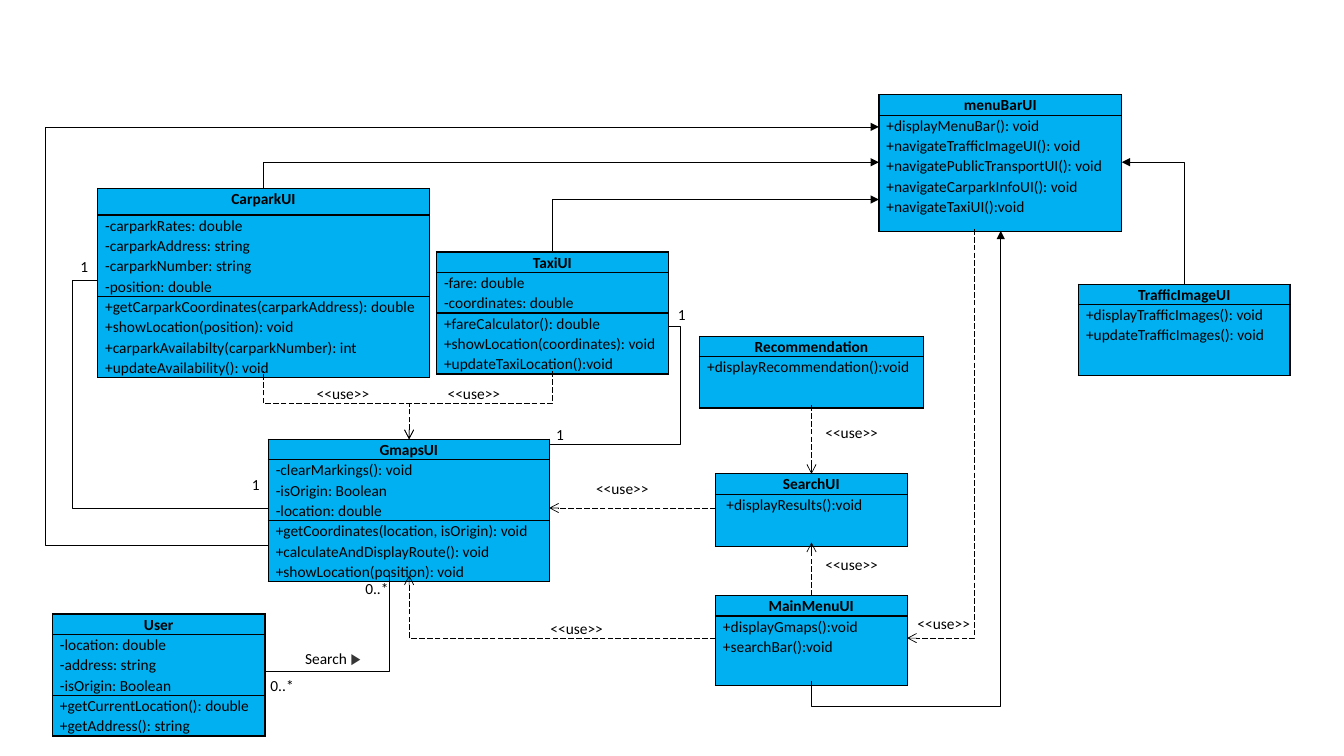
"""Builds a UML class diagram slide of a traffic and car park application."""
import pptx
import pptx.dml.color
import pptx.enum.dml
import pptx.enum.shapes
import pptx.enum.text
import pptx.oxml
import pptx.oxml.ns
import pptx.util

Cm = pptx.util.Cm
qn = pptx.oxml.ns.qn
COLORS = {"box": "00B0F0", "ink": "000000", "marker": "373637"}
LINE_HEIGHT = 0.5
LABEL_HEIGHT = 0.74


def rgb(name):
    return pptx.dml.color.RGBColor.from_string(COLORS[name])


def assign(target, formats):
    for name, value in formats.items():
        setattr(target, name, value)


class ClassDiagram:
    def __init__(self, slide):
        self.shapes = slide.shapes
        self.font = {"name": "Calibri", "size": pptx.util.Pt(11)}

    def add_words(self, paragraph, text, color="ink", **formats):
        run = paragraph.add_run()
        run.text = text
        assign(run.font, {**self.font, **formats})
        run.font.color.rgb = rgb(color)

    def border(self, cell):
        properties = cell._tc.get_or_add_tcPr()
        for index, side in enumerate(("lnL", "lnR", "lnT", "lnB")):
            properties.insert(index, pptx.oxml.parse_xml(
                f'<a:{side} {pptx.oxml.ns.nsdecls("a")} w="12700"><a:solidFill>'
                f'<a:srgbClr val="{COLORS["ink"]}"/></a:solidFill></a:{side}>'))

    def uml_class(self, title, left, top, width, height, *members, header=LINE_HEIGHT):
        compartments = [[title], *members]
        heights = [header] + [LINE_HEIGHT * len(lines) for lines in members[:-1]]
        heights.append(height - sum(heights))
        table = self.shapes.add_table(len(compartments), 1, Cm(left), Cm(top),
                                      Cm(width), Cm(height)).table
        assign(table, {"first_row": False, "horz_banding": False})
        for index, lines in enumerate(compartments):
            table.rows[index].height = Cm(heights[index])
            cell = table.cell(index, 0)
            assign(cell, {"margin_left": Cm(0.19), "margin_right": Cm(0.19),
                          "margin_top": 0, "margin_bottom": 0})
            cell.fill.solid()
            cell.fill.fore_color.rgb = rgb("box")
            self.border(cell)
            for number, line in enumerate(lines):
                frame = cell.text_frame
                paragraph = frame.add_paragraph() if number else frame.paragraphs[0]
                paragraph.line_spacing = 1.07
                if index == 0:
                    paragraph.alignment = pptx.enum.text.PP_ALIGN.CENTER
                self.add_words(paragraph, line, bold=index == 0)

    def label(self, text, left, top, width, marker=""):
        frame = self.shapes.add_textbox(Cm(left), Cm(top), Cm(width),
                                        Cm(LABEL_HEIGHT)).text_frame
        assign(frame, {"word_wrap": True, "margin_left": 0, "margin_right": 0})
        paragraph = frame.paragraphs[0]
        paragraph.alignment = pptx.enum.text.PP_ALIGN.CENTER
        self.add_words(paragraph, text)
        if marker:
            self.add_words(paragraph, marker, color="marker", name="Cabin")

    def style_line(self, link, arrow, arrow_at, dashed):
        link.line.color.rgb = rgb("ink")
        link.line.width = pptx.util.Pt(0.5)
        if dashed:
            link.line.dash_style = pptx.enum.dml.MSO_LINE.LONG_DASH
        properties = link._element.spPr
        if arrow:
            outline = properties.find(qn("a:ln"))
            outline.append(outline.makeelement(qn(f"a:{arrow_at}"), {"type": arrow}))
        properties.append(properties.makeelement(qn("a:effectLst"), {}))

    def straight(self, begin, end, arrow="arrow", dashed=True):
        link = self.shapes.add_connector(pptx.enum.shapes.MSO_CONNECTOR.STRAIGHT,
                                         *map(Cm, begin + end))
        self.style_line(link, arrow, "tailEnd", dashed)

    def elbow(self, begin, end, vertical=False, turn=None, arrow=None,
              arrow_at="tailEnd", dashed=False):
        (x1, y1), (x2, y2) = begin, end
        width, height = abs(x2 - x1), abs(y2 - y1)
        flip_h, flip_v, angle = x2 < x1, y2 < y1, 0
        if vertical:
            width, height = height, width
            flip_h, flip_v, angle = flip_v, not flip_h, 90
        if flip_h and not (vertical and flip_v):
            flip_h, flip_v, angle = False, not flip_v, angle + 180
        left, top = (x1 + x2 - width) / 2, (y1 + y2 - height) / 2
        link = self.shapes.add_connector(
            pptx.enum.shapes.MSO_CONNECTOR.ELBOW,
            Cm(left), Cm(top), Cm(left + width), Cm(top + height))
        properties = link._element.spPr
        frame = properties.find(qn("a:xfrm"))
        for name, value in {"rot": angle * 60000, "flipH": int(flip_h),
                            "flipV": int(flip_v)}.items():
            if value:
                frame.set(name, str(value))
        geometry = properties.find(qn("a:prstGeom"))
        if turn is None:
            geometry.set("prst", "bentConnector2")
        else:
            axis = int(vertical)
            share = (turn - begin[axis]) / (end[axis] - begin[axis])
            guides = geometry.find(qn("a:avLst"))
            guides.append(guides.makeelement(
                qn("a:gd"), {"name": "adj1", "fmla": f"val {round(share * 100000)}"}))
        self.style_line(link, arrow, arrow_at, dashed)


def main():
    deck = pptx.Presentation()
    assign(deck, {"slide_width": Cm(33.87), "slide_height": Cm(19.05)})
    diagram = ClassDiagram(deck.slides.add_slide(deck.slide_layouts[6]))

    diagram.uml_class("MainMenuUI", 18.03, 15.01, 4.83, 2.26,
                      ["+displayGmaps():void", "+searchBar():void"])
    diagram.uml_class("SearchUI", 18.03, 11.94, 4.83, 1.82, [" +displayResults():void"])
    diagram.uml_class("GmapsUI", 6.76, 11.07, 7.09, 3.48,
                      ["-clearMarkings(): void", "-isOrigin: Boolean", "-location: double"],
                      ["+getCoordinates(location, isOrigin): void",
                       "+calculateAndDisplayRoute(): void", "+showLocation(position): void"])
    diagram.uml_class("CarparkUI", 2.46, 4.75, 8.36, 4.66,
                      ["-carparkRates: double", "-carparkAddress: string",
                       "-carparkNumber: string", "-position: double"],
                      ["+getCarparkCoordinates(carparkAddress): double",
                       "+showLocation(position): void",
                       "+carparkAvailabilty(carparkNumber): int",
                       "+updateAvailability(): void"], header=0.67)
    diagram.uml_class("TaxiUI", 11, 6.35, 5.84, 2.98,
                      ["-fare: double", "-coordinates: double"],
                      ["+fareCalculator(): double", "+showLocation(coordinates): void",
                       "+updateTaxiLocation():void"])
    diagram.uml_class("menuBarUI", 22.15, 2.39, 6.12, 3.44,
                      ["+displayMenuBar(): void", "+navigateTrafficImageUI(): void",
                       "+navigatePublicTransportUI(): void",
                       "+navigateCarparkInfoUI(): void", "+navigateTaxiUI():void"])
    diagram.uml_class("Recommendation", 17.63, 8.48, 5.64, 1.79,
                      ["+displayRecommendation():void"])
    diagram.uml_class("TrafficImageUI", 27.18, 7.16, 5.33, 2.3,
                      ["+displayTrafficImages(): void", "+updateTrafficImages(): void"])
    diagram.uml_class("User", 1.32, 15.47, 5.36, 2.98,
                      ["-location: double", "-address: string", "-isOrigin: Boolean"],
                      ["+getCurrentLocation(): double", "+getAddress(): string"])

    uses = {"arrow": "arrow", "dashed": True}
    diagram.straight((20.45, 15.01), (20.45, 13.67))
    diagram.straight((18.03, 12.8), (13.84, 12.8))
    diagram.straight((20.45, 10.21), (20.45, 11.94))
    diagram.elbow((18.03, 16.08), (10.31, 14.5), **uses)
    diagram.elbow((24.56, 5.77), (22.86, 16.08), vertical=True, **uses)
    for client in ((6.63, 9.35), (13.92, 9.27)):
        diagram.elbow((10.31, 11.07), client, vertical=True, turn=10.17,
                      arrow_at="headEnd", **uses)

    diagram.elbow((16.84, 8.23), (13.84, 11.2), turn=17.15)
    diagram.elbow((2.46, 7.06), (6.76, 12.8), turn=1.83)
    diagram.elbow((9.8, 14.5), (6.71, 16.92), turn=9.82)

    diagram.elbow((20.45, 17.17), (25.22, 5.82), vertical=True, turn=17.81,
                  arrow="triangle")
    diagram.elbow((6.76, 13.74), (22.15, 3.2), turn=1.14, arrow="triangle")
    for origin, target in (((29.85, 7.16), (28.27, 4.09)),
                           ((6.63, 4.75), (22.15, 4.09)),
                           ((13.92, 6.35), (22.15, 5.03))):
        diagram.elbow(origin, target, vertical=True, arrow="triangle")

    for left, top, width in ((20.45, 13.87, 2.03), (14.76, 11.94, 1.85),
                             (13.61, 15.47, 1.85), (11.02, 9.55, 1.85),
                             (7.72, 9.55, 1.85), (20.45, 10.54, 2.03),
                             (22.86, 15.34, 1.85)):
        diagram.label("<<use>>", left, top, width)
    for left, top in ((16.84, 7.57), (13.77, 10.59), (1.78, 6.35), (6.1, 11.86)):
        diagram.label("1", left, top, 0.69)
    for left, top in ((6.55, 16.92), (8.94, 14.48)):
        diagram.label("0..*", left, top, 1.12)
    diagram.label("Search ", 7.26, 16.23, 2.26, marker="▶")

    deck.save("out.pptx")


if __name__ == "__main__":
    main()
